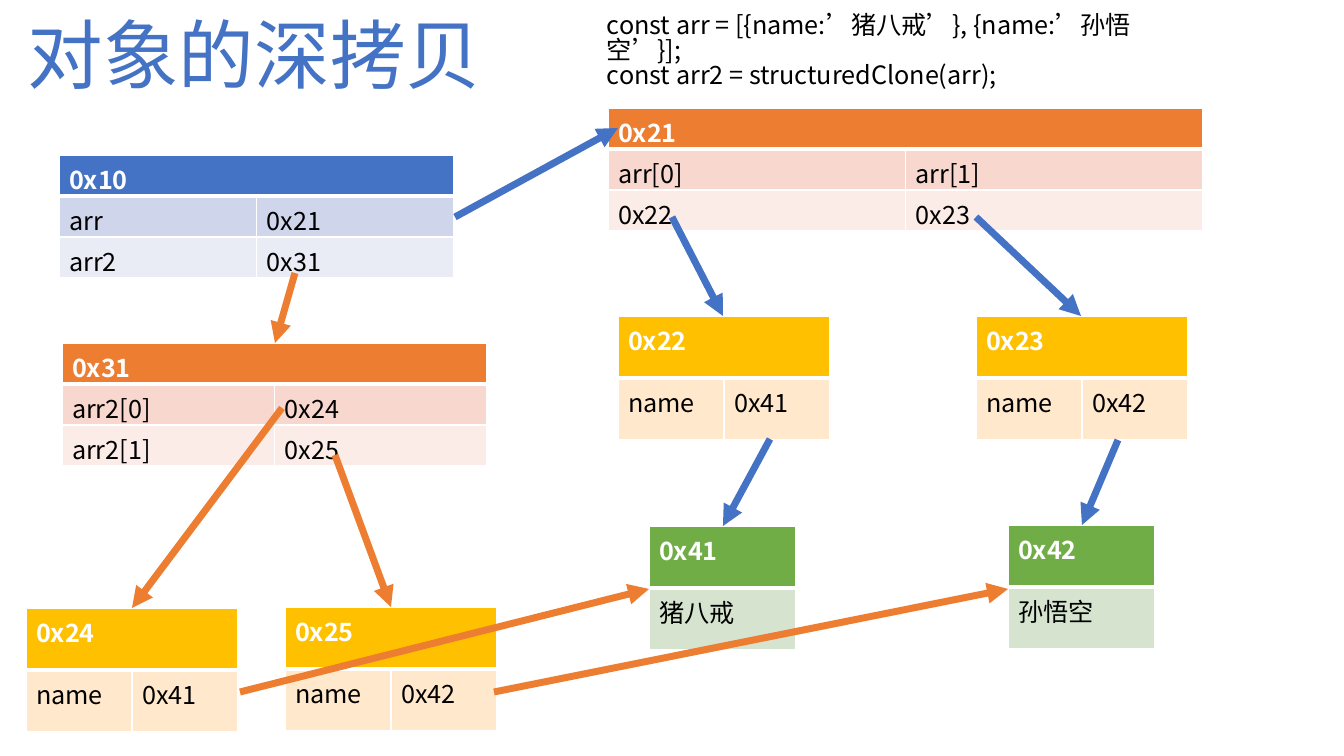
"""Build a slide that diagrams how deep copying objects lays out memory."""
from dataclasses import dataclass

from lxml import etree
from pptx import Presentation
from pptx.dml.color import RGBColor
from pptx.enum.shapes import MSO_CONNECTOR
from pptx.enum.text import MSO_ANCHOR, MSO_AUTO_SIZE, PP_ALIGN
from pptx.oxml.ns import qn
from pptx.util import Emu, Pt

STRAIGHT = MSO_CONNECTOR.STRAIGHT
TOP = MSO_ANCHOR.TOP
NO_FIT = MSO_AUTO_SIZE.NONE
LEFT = PP_ALIGN.LEFT
CENTER = PP_ALIGN.CENTER

EMU_PER_PIXEL = 914400 / 100.8
FONT = "Noto Sans CJK SC"
TITLE_ONLY = 5
COLORS = {
    "white": "FFFFFF", "black": "000000",
    "blue": "4472C4", "blue band": "CFD5EA", "blue pale": "E9EBF5",
    "orange": "ED7D31", "orange band": "F8D7CE", "orange pale": "FCECE8",
    "gold": "FFC000", "gold band": "FFE8CC",
    "green": "70AD47", "green band": "D5E3CF",
}


@dataclass
class MemoryBlock:
    """A table headed by an address, in pixels."""
    address: str
    color: str
    left: int
    top: int
    width: int
    row_height: int
    rows: list[list[str]]


@dataclass
class Pointer:
    """An arrow between two pixel positions."""
    color: str
    start: tuple[int, int]
    end: tuple[int, int]


def variable_block(address: str, color: str, left: int, top: int, width: int,
                   rows: list[list[str]]) -> MemoryBlock:
    """Describe a block of variables or array items."""
    return MemoryBlock(address, color, left, top, width, 41, rows)


def object_block(address: str, left: int, top: int, target: str) -> MemoryBlock:
    """Describe an object whose name points to a string."""
    return MemoryBlock(address, "gold", left, top, 212, 62, [["name", target]])


def string_block(address: str, left: int, top: int, value: str) -> MemoryBlock:
    """Describe a stored string."""
    return MemoryBlock(address, "green", left, top, 147, 62, [[value]])


BLOCKS = [
    variable_block("0x10", "blue", 59, 155, 395, [["arr", "0x21"], ["arr2", "0x31"]]),
    variable_block("0x21", "orange", 608, 108, 595, [["arr[0]", "arr[1]"], ["0x22", "0x23"]]),
    variable_block("0x31", "orange", 62, 343, 425, [["arr2[0]", "0x24"], ["arr2[1]", "0x25"]]),
    object_block("0x22", 618, 316, "0x41"),
    object_block("0x23", 976, 316, "0x42"),
    object_block("0x24", 26, 608, "0x41"),
    object_block("0x25", 285, 607, "0x42"),
    string_block("0x41", 649, 526, "猪八戒"),
    string_block("0x42", 1008, 525, "孙悟空"),
]
POINTERS = [
    Pointer("blue", (455, 217), (618, 128)),
    Pointer("blue", (672, 217), (723, 316)),
    Pointer("blue", (976, 217), (1081, 316)),
    Pointer("blue", (770, 439), (723, 526)),
    Pointer("blue", (1118, 440), (1082, 525)),
    Pointer("orange", (282, 408), (132, 608)),
    Pointer("orange", (335, 455), (391, 607)),
    Pointer("orange", (240, 692), (649, 589)),
    Pointer("orange", (494, 692), (1008, 589)),
    Pointer("orange", (295, 273), (275, 343)),
]
CODE = "const arr = [{name:’猪八戒’}, {name:’孙悟空’}];\nconst arr2 = structuredClone(arr);"


def px(length: float) -> Emu:
    """Turn pixels into EMU."""
    return Emu(round(length * EMU_PER_PIXEL))


def rgb(name: str) -> RGBColor:
    """Look up a named colour."""
    return RGBColor.from_string(COLORS[name])


def write(frame, text: str, *, size: int = 18, color: str = "black", bold: bool = False,
          align=LEFT, spacing: float = 1.0) -> None:
    """Fill a text frame with one paragraph per line of text."""
    for index, line in enumerate(text.split("\n")):
        para = frame.add_paragraph() if index else frame.paragraphs[0]
        para.alignment = align
        para.line_spacing = spacing
        span = para.add_run()
        span.text = line
        span.font.name = FONT
        span.font.size = Pt(size)
        span.font.bold = bold
        span.font.color.rgb = rgb(color)
        etree.SubElement(span.font._element, qn("a:ea"), typeface=FONT)


def draw_borders(cell, bottom: int) -> None:
    """Give a cell white edges, with its own bottom width in points."""
    properties = cell._tc.get_or_add_tcPr()
    edges = {"a:lnL": 1, "a:lnR": 1, "a:lnT": 1, "a:lnB": bottom}
    for index, (tag, width) in enumerate(edges.items()):
        edge = etree.Element(qn(tag), w=str(Pt(width)))
        fill = etree.SubElement(edge, qn("a:solidFill"))
        etree.SubElement(fill, qn("a:srgbClr"), val=COLORS["white"])
        properties.insert(index, edge)


def draw_block(page, block: MemoryBlock) -> None:
    """Draw a memory block as a table."""
    columns = len(block.rows[0])
    lines = [[block.address] + [""] * (columns - 1), *block.rows]
    table = page.shapes.add_table(
        len(lines), columns, px(block.left), px(block.top),
        px(block.width), px(block.row_height * len(lines))).table
    fills = [block.color, f"{block.color} band", f"{block.color} pale"]
    for row, texts in enumerate(lines):
        header = row == 0
        for column, text in enumerate(texts):
            cell = table.cell(row, column)
            cell.fill.solid()
            cell.fill.fore_color.rgb = rgb(fills[row])
            draw_borders(cell, 3 if header else 1)
            if text:
                write(cell.text_frame, text, color="white" if header else "black", bold=header)
    if columns > 1:
        table.cell(0, 0).merge(table.cell(0, columns - 1))


def draw_pointer(page, pointer: Pointer) -> None:
    """Draw a pointer as a thick arrow."""
    arrow = page.shapes.add_connector(
        STRAIGHT, *(px(value) for value in (*pointer.start, *pointer.end)))
    arrow.line.color.rgb = rgb(pointer.color)
    arrow.line.width = Pt(5)
    etree.SubElement(arrow.line._get_or_add_ln(), qn("a:tailEnd"), type="triangle")
    etree.SubElement(arrow._element.spPr, qn("a:effectLst"))


def main() -> None:
    """Build and save the deck."""
    deck = Presentation()
    deck.slide_width, deck.slide_height = px(1344), px(756)
    page = deck.slides.add_slide(deck.slide_layouts[TITLE_ONLY])

    title = page.shapes.title
    title.left, title.top, title.width, title.height = px(15), px(13), px(479), px(102)
    title.text_frame.auto_size = NO_FIT
    title.text_frame.vertical_anchor = TOP
    title.text_frame.word_wrap = False
    write(title.text_frame, "对象的深拷贝", size=54, color="blue", align=CENTER, spacing=0.9)

    code_box = page.shapes.add_textbox(px(597), px(10), px(606), px(72))
    code_box.text_frame.word_wrap = True
    write(code_box.text_frame, CODE, spacing=0.82)

    for block in BLOCKS:
        draw_block(page, block)
    for pointer in POINTERS:
        draw_pointer(page, pointer)
    deck.save("out.pptx")


main()
